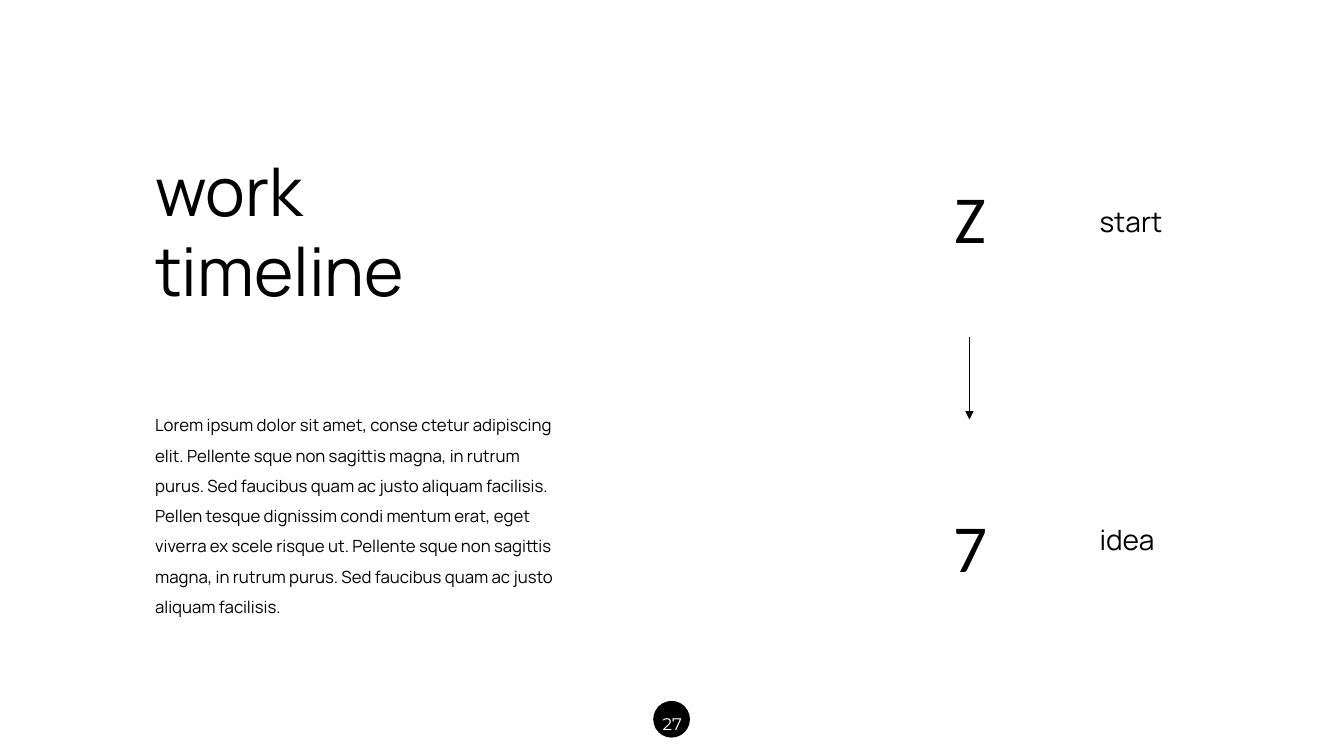
from lxml import etree
from pptx import Presentation
from pptx.dml.color import RGBColor
from pptx.enum.shapes import MSO_CONNECTOR, MSO_SHAPE
from pptx.enum.text import MSO_AUTO_SIZE, PP_ALIGN
from pptx.oxml.ns import qn
from pptx.util import Cm, Pt

STRAIGHT = MSO_CONNECTOR.STRAIGHT
OVAL = MSO_SHAPE.OVAL
GROW = MSO_AUTO_SIZE.SHAPE_TO_FIT_TEXT
LEFT, CENTER = PP_ALIGN.LEFT, PP_ALIGN.CENTER
BLACK, WHITE = "000000", "FFFFFF"


def rgb(value):
    return RGBColor.from_string(value)


def add_text(box, lines, size, font="Manrope", color=BLACK, align=LEFT, spacing=None):
    """Add a text box at box (left, top, width, height in cm), one paragraph per line."""
    tf = slide.shapes.add_textbox(*map(Cm, box)).text_frame
    tf.word_wrap = True
    tf.auto_size = GROW
    tf.text = "\n".join(lines)
    for p in tf.paragraphs:
        p.alignment = align
        p.line_spacing = spacing
        p.font.size = Pt(size)
        p.font.name = font
        p.font.color.rgb = rgb(color)


prs = Presentation()
prs.slide_width, prs.slide_height = Cm(33.87), Cm(19.05)
slide = prs.slides.add_slide(prs.slide_layouts[6])
slide.background.fill.solid()
slide.background.fill.fore_color.rgb = rgb(WHITE)

# Page number
badge = slide.shapes.add_shape(OVAL, Cm(16.48), Cm(17.68), Cm(0.89), Cm(0.89))
badge.shadow.inherit = False
badge.fill.solid()
badge.fill.fore_color.rgb = rgb(BLACK)
badge.line.color.rgb = rgb(BLACK)
badge.line.width = Pt(1)
add_text((16.31, 17.6, 1.27, 0.94), ["27"], 12, "Montserrat", WHITE, CENTER, 1.5)

# Title and description
add_text((3.66, 3.63, 8.36, 4.37), ["work", "timeline"], 48)
description = (
    "Lorem ipsum dolor sit amet, conse ctetur adipiscing elit. Pellente sque non "
    "sagittis magna, in rutrum purus. Sed faucibus quam ac justo aliquam facilisis. "
    "Pellen tesque dignissim condi mentum erat, eget viverra ex scele risque ut. "
    "Pellente sque non sagittis magna, in rutrum purus. Sed faucibus quam ac justo "
    "aliquam facilisis."
)
add_text((3.66, 10.08, 10.72, 5.64), [description], 12, spacing=1.5)

# Timeline steps: symbol, its top, label, its top
for symbol, symbol_top, label, label_top in [
    ("Z", 4.32, "start", 5.03),
    ("7", 12.6, "idea", 13.03),
]:
    add_text((23.42, symbol_top, 2.06, 2.31), [symbol], 48, "Calibri", align=CENTER)
    add_text((27.46, label_top, 3.02, 1.12), [label], 20)

arrow = slide.shapes.add_connector(STRAIGHT, Cm(24.43), Cm(8.48), Cm(24.43), Cm(10.57))
arrow.line.color.rgb = rgb(BLACK)
arrow.line.width = Pt(1)
etree.SubElement(arrow.line._get_or_add_ln(), qn("a:tailEnd"), type="triangle")
etree.SubElement(arrow._element.spPr, qn("a:effectLst"))

prs.save("out.pptx")
